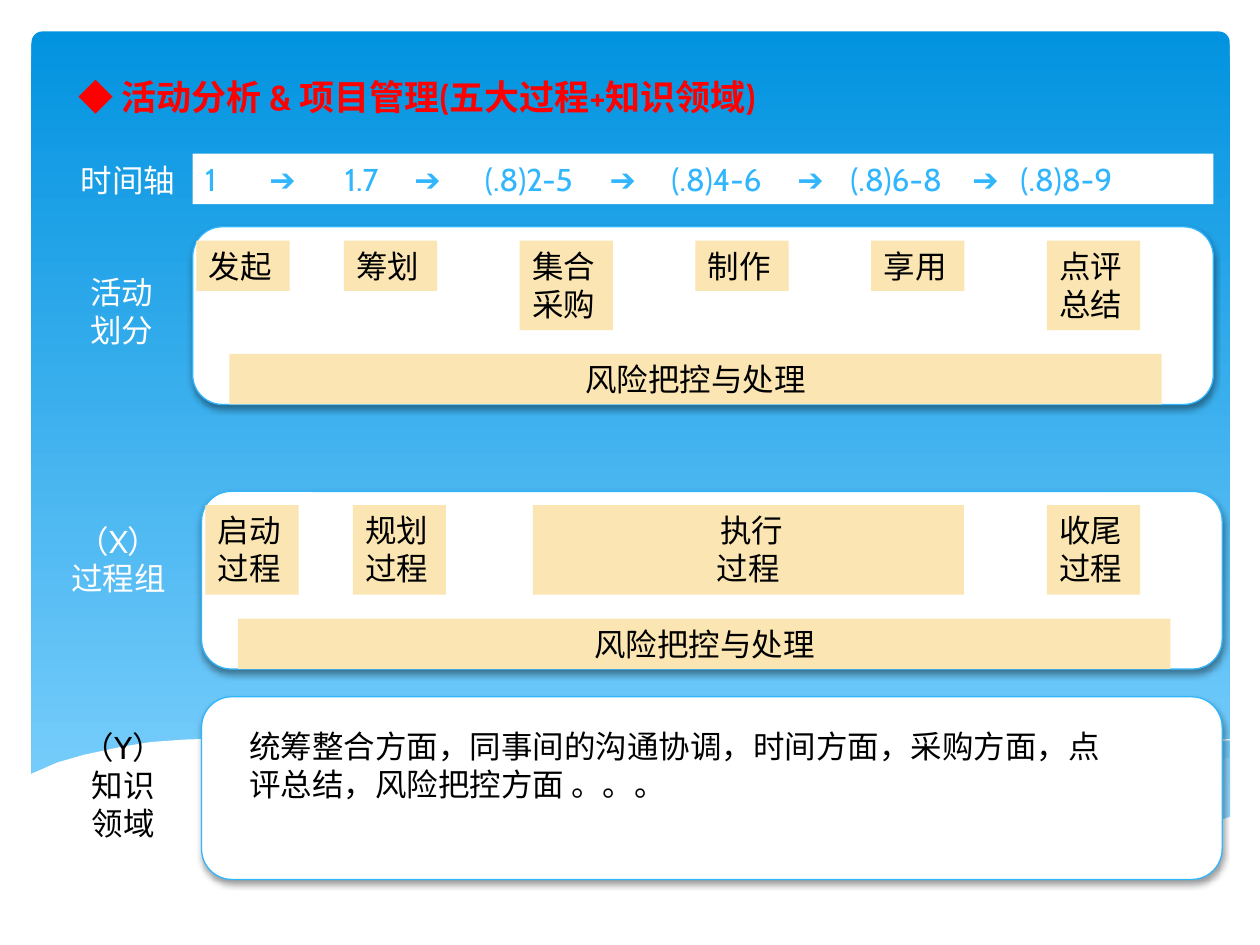
"""Build a slide that maps activity stages to project management processes."""
from dataclasses import dataclass
from typing import Any

from lxml.etree import SubElement
from pptx import Presentation
from pptx.dml.color import RGBColor
from pptx.enum.shapes import MSO_SHAPE
from pptx.enum.text import MSO_ANCHOR, MSO_AUTO_SIZE, PP_ALIGN
from pptx.oxml.ns import qn
from pptx.util import Inches, Pt


def color(value):
    return RGBColor.from_string(value)


@dataclass
class SlideBuilder:
    page: Any
    font: str = "Cabin"
    symbol_font: str = "Arial"
    size: int = 18
    accent: str = "31B6FD"
    tan: str = "FBE6B3"
    white: str = "FFFFFF"
    black: str = "000000"

    def fill_text(self, box, text, ink, align=PP_ALIGN.LEFT, size=None, bold=False):
        frame = box.text_frame
        settings = {"word_wrap": True, "vertical_anchor": MSO_ANCHOR.TOP,
                    "margin_left": Inches(0.1), "margin_right": Inches(0.1),
                    "margin_top": Inches(0.05), "margin_bottom": Inches(0.05)}
        for name, value in settings.items():
            setattr(frame, name, value)
        for index, line in enumerate(text.split("\n")):
            para = frame.add_paragraph() if index else frame.paragraphs[0]
            para.alignment = align
            for part in line.replace("➔", "|➔|").replace("◆ ", "◆ |").split("|"):
                if not part:
                    continue
                span = para.add_run()
                span.text = part
                span.font.color.rgb = color(ink)
                symbol = part[0] in "➔◆"
                style = {"name": self.symbol_font if symbol else self.font,
                         "size": Pt(size or self.size), "bold": bold}
                for name, value in style.items():
                    setattr(span.font, name, value)
        return frame

    def shape(self, kind, area, fill):
        shape = self.page.shapes.add_shape(kind, *map(Inches, area))
        shape.shadow.inherit = False
        shape.fill.solid()
        shape.fill.fore_color.rgb = color(fill)
        shape.line.fill.background()
        return shape

    def backdrop(self, area, top, bottom):
        shape = self.shape(MSO_SHAPE.ROUNDED_RECTANGLE, area, top)
        shape.adjustments[0] = 0.013
        shape.fill.gradient()
        shape.fill.gradient_angle = 270
        for stop, shade in zip(shape.fill.gradient_stops, (top, bottom)):
            stop.color.rgb = color(shade)

    def wave(self, points, fill=None, opacity=100):
        start, *rest = [(Inches(x), Inches(y)) for x, y in points]
        builder = self.page.shapes.build_freeform(*start)
        builder.add_line_segments(rest, close=fill is not None)
        shape = builder.convert_to_shape()
        shape.shadow.inherit = False
        if fill is None:
            shape.fill.background()
            shape.line.color.rgb = color(self.white)
            shape.line.width = Pt(0)
            return
        shape.fill.solid()
        shape.fill.fore_color.rgb = color(fill)
        shape.line.fill.background()
        tint = shape.element.spPr.find(".//" + qn("a:srgbClr"))
        SubElement(tint, qn("a:alpha"), val=str(opacity * 1000))

    def panel(self, area):
        shape = self.shape(MSO_SHAPE.ROUNDED_RECTANGLE, area, self.white)
        shape.line.color.rgb = color(self.accent)
        shape.line.width = Pt(0.75)
        effects = shape.element.spPr.find(qn("a:effectLst"))
        shadow = SubElement(effects, qn("a:outerShdw"), blurRad=str(int(Pt(4))),
                            dist=str(int(Pt(2))), dir="5400000", rotWithShape="0")
        tint = SubElement(shadow, qn("a:srgbClr"), val=self.black)
        SubElement(tint, qn("a:alpha"), val="38000")

    def block(self, area, text, align=PP_ALIGN.LEFT):
        shape = self.shape(MSO_SHAPE.RECTANGLE, area, self.tan)
        frame = self.fill_text(shape, text, self.black, align)
        frame.auto_size = MSO_AUTO_SIZE.SHAPE_TO_FIT_TEXT

    def timeline(self, area, text, stops):
        shape = self.shape(MSO_SHAPE.RECTANGLE, area, self.white)
        frame = self.fill_text(shape, text, self.accent)
        properties = frame.paragraphs[0]._p.get_or_add_pPr()
        tabs = SubElement(properties, qn("a:tabLst"))
        for stop in stops:
            SubElement(tabs, qn("a:tab"), pos=str(int(Inches(stop))), algn="l")

    def label(self, area, text, ink, align=PP_ALIGN.CENTER):
        box = self.page.shapes.add_textbox(*map(Inches, area))
        frame = self.fill_text(box, text, ink, align)
        frame.auto_size = MSO_AUTO_SIZE.SHAPE_TO_FIT_TEXT

    def title(self, area, text, ink):
        title = self.page.shapes.title
        for name, value in zip(("left", "top", "width", "height"), area):
            setattr(title, name, Inches(value))
        frame = self.fill_text(title, text, ink, size=20, bold=True)
        frame.auto_size = MSO_AUTO_SIZE.NONE
        title.element.getparent().append(title.element)


def main():
    deck = Presentation()
    deck.slide_width, deck.slide_height = Inches(10), Inches(7.5)
    builder = SlideBuilder(deck.slides.add_slide(deck.slide_layouts[5]))

    builder.backdrop((0.25, 0.25, 9.51, 6.6), "0293E0", "83D3FE")
    builder.wave([(9.77, 6.01), (9.36, 6.09), (8.92, 6.18), (8.34, 6.32), (7.8, 6.44),
                  (7.3, 6.55), (6.62, 6.67), (7.06, 6.73), (7.46, 6.77), (8.04, 6.8),
                  (8.55, 6.78), (8.98, 6.72), (9.37, 6.63), (9.77, 6.49)], "C6E7FC", 29)
    builder.wave([(6.14, 6.59), (6.53, 6.48), (6.96, 6.37), (7.49, 6.25), (8.07, 6.12),
                  (8.67, 6), (9.11, 5.94), (9.52, 5.89), (9.76, 5.87)])
    builder.wave([(9.77, 6.48), (9.4, 6.61), (8.99, 6.71), (8.5, 6.77), (8.09, 6.79),
                  (7.61, 6.77), (7.08, 6.72), (6.48, 6.64), (5.79, 6.51), (5.03, 6.35),
                  (4.47, 6.22), (3.91, 6.09), (3.4, 5.99), (2.92, 5.92), (2.5, 5.88),
                  (2.11, 5.86), (1.77, 5.86), (1.46, 5.87), (1.19, 5.89), (0.95, 5.93),
                  (0.67, 5.99), (0.46, 6.05), (0.23, 6.15), (0.23, 7.31), (9.77, 7.31)],
                 builder.white)

    short, tall, narrow = 0.4, 0.71, 0.74
    builder.panel((1.53, 1.8, 8.1, 1.41))
    builder.timeline((1.53, 1.22, 8.1, short),
                     "1\t➔\t1.7\t➔\t(.8)2-5\t➔\t(.8)4-6\t➔\t(.8)6-8\t➔\t(.8)8-9",
                     (0.51, 1.11, 1.66, 2.22, 3.21, 3.7, 4.7, 5.12, 6.09, 6.47))
    builder.block((1.56, 1.91, narrow, short), "发起")
    stages = ("筹划", "集合\n采购", "制作", "享用", "点评总结")
    for index, stage in enumerate(stages):
        height = tall if len(stage) > 2 else short
        builder.block((2.73 + 1.395 * index, 1.91, narrow, height), stage)

    builder.panel((1.6, 3.9, 8.1, 1.41))
    for left, process in ((1.63, "启动过程"), (2.8, "规划过程"), (8.31, "收尾过程")):
        builder.block((left, 4.01, narrow, tall), process)
    builder.block((4.23, 4.01, 3.42, tall), " 执行\n过程", PP_ALIGN.CENTER)
    for left, top in ((1.82, 2.81), (1.89, 4.91)):
        builder.block((left, top, 7.4, short), "风险把控与处理", PP_ALIGN.CENTER)

    builder.panel((1.6, 5.53, 8.1, 1.45))
    builder.label((1.88, 5.72, 7.02, tall),
                  "统筹整合方面，同事间的沟通协调，时间方面，采购方面，点评总结，风险把控方面 。。。",
                  builder.black, PP_ALIGN.LEFT)
    builder.title((0.52, 0.55, 6.01, 0.44), "◆ 活动分析 & 项目管理(五大过程+知识领域)", "FF0000")
    builder.label((0.52, 1.23, 0.99, short), "时间轴", builder.white)
    builder.label((0.54, 2.12, 0.85, tall), "活动划分", builder.white)
    builder.label((0.35, 4.09, 1.18, tall), "（X）\n过程组", builder.white)
    builder.label((0.56, 5.73, 0.84, 1.01), "（Y）\n知识领域", builder.black)
    deck.save("out.pptx")


if __name__ == "__main__":
    main()
